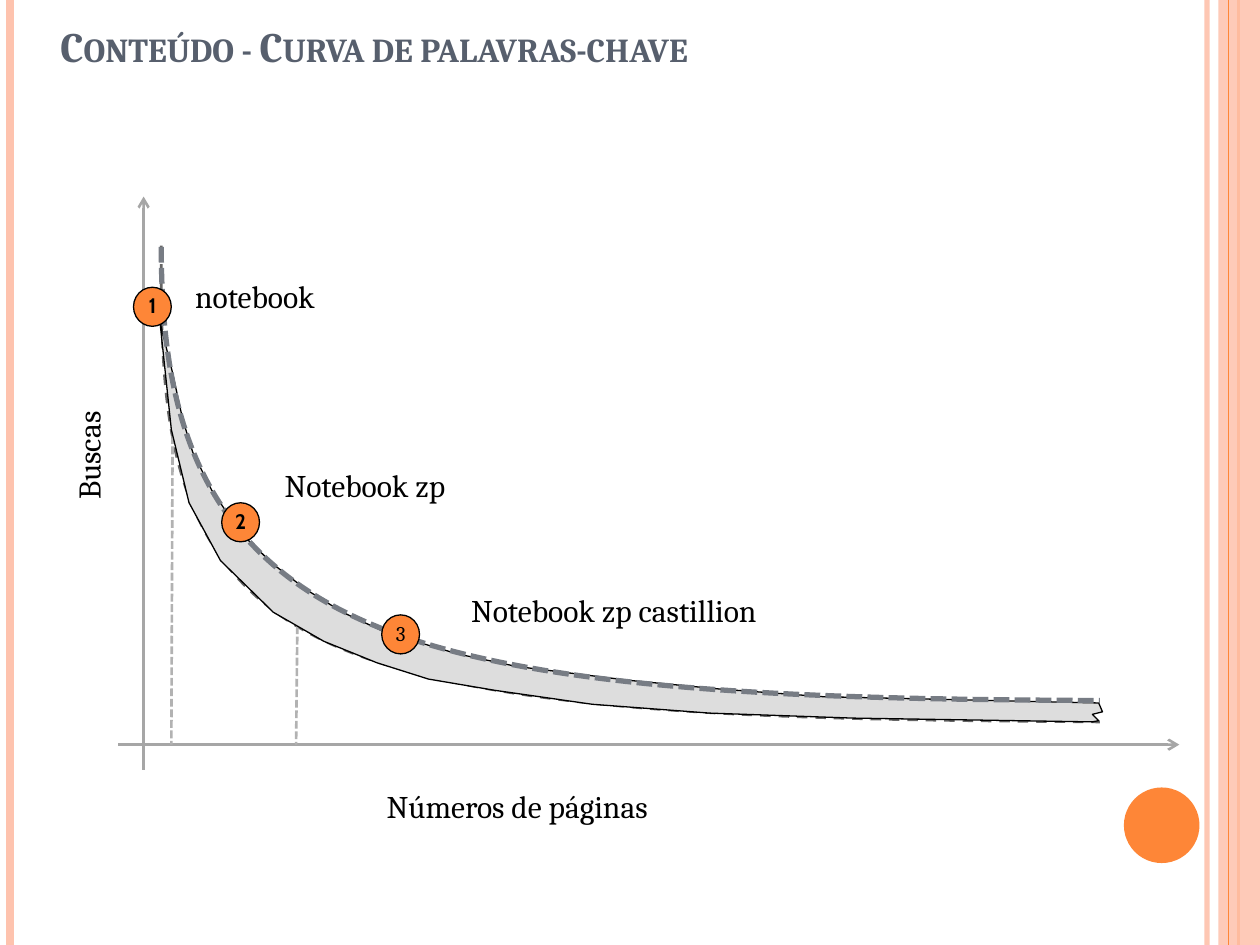
from lxml import etree
from pptx import Presentation
from pptx.dml.color import RGBColor
from pptx.enum.dml import MSO_LINE
from pptx.enum.shapes import MSO_CONNECTOR, MSO_SHAPE
from pptx.enum.text import MSO_ANCHOR, PP_ALIGN
from pptx.oxml.ns import qn
from pptx.util import Cm, Pt

DASH, DOT = MSO_LINE.DASH, MSO_LINE.SQUARE_DOT
OVAL, RECT = MSO_SHAPE.OVAL, MSO_SHAPE.RECTANGLE
STRAIGHT = MSO_CONNECTOR.STRAIGHT
MIDDLE, BOTTOM = MSO_ANCHOR.MIDDLE, MSO_ANCHOR.BOTTOM
LEFT, CENTER = PP_ALIGN.LEFT, PP_ALIGN.CENTER

ORANGE, PINK, BLACK = "FE8637", "FEC3AE", "000000"
SERIF, SANS = "Cambria", "Cabin"
TITLE = "Conteúdo - Curva de palavras-chave"
RULES = [(9.58, PINK, 3, 93), (0.08, PINK, 4.5, 100), (9.83, ORANGE, 1.5, 100)]
AXES = [(1.14, 6.11, 1.14, 1.56), (0.94, 5.91, 9.36, 5.91)]
DROPS = [(1.37, 3.46, 1.36, 5.91), (2.36, 4.97, 2.35, 5.91)]
LOWER = [(1.28, 1.95), (1.28, 3.19), (1.27, 4.43), (2.52, 5.06),
         (3.76, 5.69), (6.24, 5.71), (8.73, 5.73)]
UPPER = [(1.28, 1.96), (1.28, 3.2), (1.54, 4.28), (2.78, 4.88),
         (4.02, 5.48), (6.24, 5.55), (8.73, 5.56)]
AREA = [(1.27, 2.56), (1.36, 3.41), (1.5, 3.99), (1.75, 4.45), (2.17, 4.86),
        (2.57, 5.09), (2.99, 5.26), (3.4, 5.39), (3.93, 5.48), (4.7, 5.59),
        (5.63, 5.66), (6.77, 5.7), (8.67, 5.73), (8.72, 5.72), (8.67, 5.67),
        (8.75, 5.65), (8.72, 5.58), (6.53, 5.53), (5.72, 5.47), (4.99, 5.4),
        (4.1, 5.29), (3.63, 5.19), (3.06, 5.02), (2.72, 4.86), (2.43, 4.68),
        (2.17, 4.48), (1.91, 4.23), (1.68, 3.89), (1.53, 3.59), (1.45, 3.33),
        (1.37, 2.96)]
LABELS = [("Buscas", 0.2, 3.36, 1.03, 270),
          ("Números de páginas", 2.97, 6.22, 2.53, 0),
          ("notebook", 1.45, 2.18, 1.22, 0),
          ("Notebook zp", 2.16, 3.68, 1.61, 0),
          ("Notebook zp castillion", 3.64, 4.67, 2.6, 0)]
MARKS = [("1", 1.06, 2.28, SANS, True), ("2", 1.76, 3.99, SANS, True),
         ("3", 3.03, 4.88, SERIF, False)]


def inch(*vals):
    """Turn inches into lengths."""
    return [Cm(2.54 * val) for val in vals]


def paint(fill, hue, alpha=100):
    """Fill with a solid colour of the given opacity in percent."""
    fill.solid()
    fill.fore_color.rgb = RGBColor.from_string(hue)
    if alpha < 100:
        tint = fill._xPr.find(".//" + qn("a:srgbClr"))
        etree.SubElement(tint, qn("a:alpha"), val=str(alpha * 1000))


def stroke(item, hue, width, dash=None, alpha=100):
    """Set colour, width and dash of an outline."""
    paint(item.line.fill, hue, alpha)
    item.line.width = Pt(width)
    if dash:
        item.line.dash_style = dash


def rule(ends, hue, width, dash=None, alpha=100, arrow=False):
    """Draw a straight line, with an arrowhead on request."""
    line = shapes.add_connector(STRAIGHT, *inch(*ends))
    stroke(line, hue, width, dash, alpha)
    if arrow:
        etree.SubElement(line.line._get_or_add_ln(), qn("a:tailEnd"), type="arrow")
    etree.SubElement(line._element.spPr, qn("a:effectLst"))


def block(kind, box, hue, alpha=100):
    """Draw a filled shape without an outline."""
    item = shapes.add_shape(kind, *inch(*box))
    item.shadow.inherit = False
    paint(item.fill, hue, alpha)
    item.line.fill.background()
    return item


def trace(pts, close=False):
    """Draw a path of straight segments."""
    pen = shapes.build_freeform(*inch(*pts[0]))
    pen.add_line_segments([inch(*pt) for pt in pts[1:]], close=close)
    item = pen.convert_to_shape()
    item.shadow.inherit = False
    return item


def curve(pts, hue, width, dash):
    """Draw an open chain of cubic curves."""
    item = trace(pts)
    legs = list(item._element.iter(qn("a:lnTo")))
    for pos in range(0, len(legs), 3):
        bend = etree.SubElement(legs[pos].getparent(), qn("a:cubicBezTo"))
        for leg in legs[pos:pos + 3]:
            bend.append(leg[0])
            leg.getparent().remove(leg)
    item.fill.background()
    stroke(item, hue, width, dash)


def write(frame, text, size, face=SERIF, hue=BLACK, bold=False, align=LEFT, lead=0.93):
    """Put one formatted line into a text frame."""
    frame.text = text
    para = frame.paragraphs[0]
    para.alignment, para.line_spacing = align, lead
    font = para.runs[0].font
    font.size, font.name, font.bold = Pt(size), face, bold
    font.color.rgb = RGBColor.from_string(hue)


deck = Presentation()
deck.slide_width, deck.slide_height = inch(10, 7.5)
slide = deck.slides.add_slide(deck.slide_layouts[5])
shapes = slide.shapes

for x, hue, width, alpha in RULES:
    rule((x, 0, x, 7.5), hue, width, alpha=alpha)
block(RECT, (9.67, 0, 0.33, 7.5), PINK, 87)
rule((9.75, 0, 9.75, 7.5), ORANGE, 0.75)
block(OVAL, (8.92, 6.25, 0.6, 0.6), ORANGE)

head = shapes.title
head.left, head.top, head.width, head.height = inch(0.38, 0.02, 9.36, 0.59)
head.text_frame.vertical_anchor = BOTTOM
write(head.text_frame, TITLE, 24, hue="575F6D", bold=True, lead=1.0)
head.text_frame.paragraphs[0].runs[0]._r.get_or_add_rPr().set("cap", "small")

curve(LOWER, "666666", 1.5, DASH)
for ends in AXES:
    rule(ends, "A6A6A6", 1.5, arrow=True)
for ends in DROPS:
    rule(ends, "B2B2B2", 1.5, DOT)
area = trace(AREA, close=True)
paint(area.fill, "DDDDDD")
stroke(area, BLACK, 0.75)
curve(UPPER, "777C84", 3, DOT)

for text, x, y, width, turn in LABELS:
    box = shapes.add_textbox(*inch(x, y, width, 0.38))
    box.rotation = turn
    box.text_frame.word_wrap = False
    write(box.text_frame, text, 18)

for text, x, y, face, bold in MARKS:
    mark = block(OVAL, (x, y, 0.3, 0.31), ORANGE)
    stroke(mark, BLACK, 0.75)
    frame = mark.text_frame
    frame.margin_left = frame.margin_right = frame.margin_top = frame.margin_bottom = 0
    frame.vertical_anchor = MIDDLE
    write(frame, text, 12, face, bold=bold, align=CENTER)

deck.save("out.pptx")
